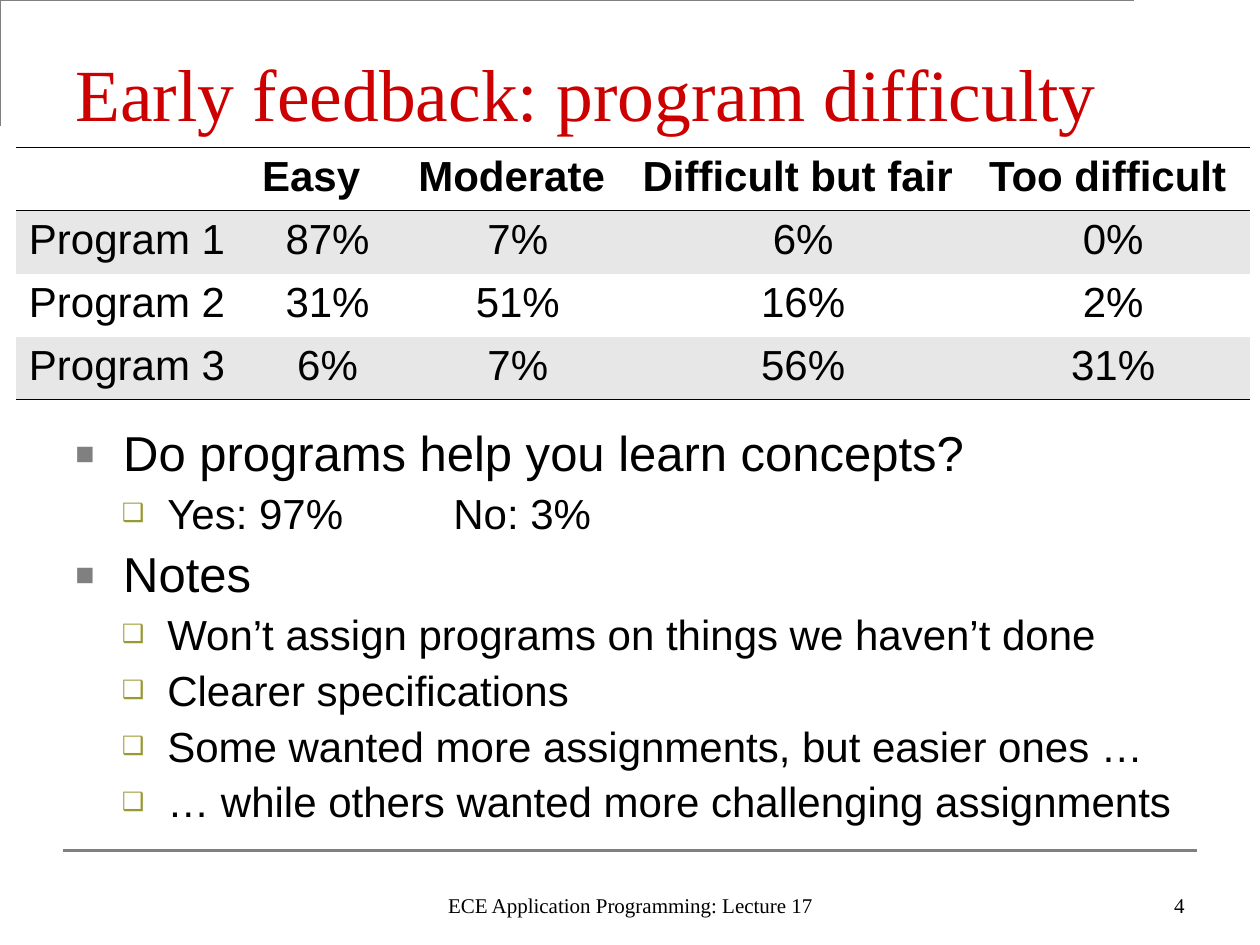
from dataclasses import dataclass

import pptx
import pptx.dml.color
import pptx.enum.shapes
import pptx.enum.text
import pptx.oxml
import pptx.oxml.ns
import pptx.util
from pptx.util import Inches

SERIF, SANS = "Times New Roman", "Arial"
BLACK, GRAY, RED, OLIVE = "000000", "808080", "CC0000", "999933"
WHITE, BAND = "FFFFFF", "E7E7E7"
ALIGN = pptx.enum.text.PP_ALIGN
ANCHOR = pptx.enum.text.MSO_ANCHOR


@dataclass(frozen=True)
class Label:
    text: str
    left: float
    top: float
    width: float
    height: float
    size: int
    color: str
    align: ALIGN
    bottom_inset: float = 0.05


@dataclass(frozen=True)
class Level:
    size: int
    margin: float
    hanging: float
    before: int
    mark: str
    mark_color: str
    mark_percent: int


TOPIC = Level(28, 0.38, 0.38, 7, "■", GRAY, 65)
POINT = Level(24, 0.73, 0.36, 6, "❑", OLIVE, 60)

LABELS = [
    Label("Early feedback: program difficulty", 0.5, 0.3, 9, 0.78, 42, RED, ALIGN.LEFT, 0),
    Label("ECE Application Programming: Lecture 17", 3.42, 6.83, 3.17, 0.5, 12, BLACK, ALIGN.CENTER),
    Label("4", 7.17, 6.83, 2.33, 0.5, 12, BLACK, ALIGN.RIGHT),
]
DIFFICULTY = [
    ["", "Easy", "Moderate", "Difficult but fair", "Too difficult"],
    ["Program 1", "87%", "7%", "6%", "0%"],
    ["Program 2", "31%", "51%", "16%", "2%"],
    ["Program 3", "6%", "7%", "56%", "31%"],
]
COLUMN_WIDTHS = [1.85, 1.24, 1.78, 2.75, 2.17]
ROW_HEIGHT = 0.5
FEEDBACK = [
    (TOPIC, "Do programs help you learn concepts?"),
    (POINT, "Yes: 97%\tNo: 3%"),
    (TOPIC, "Notes"),
    (POINT, "Won’t assign programs on things we haven’t done"),
    (POINT, "Clearer specifications"),
    (POINT, "Some wanted more assignments, but easier ones …"),
    (POINT, "… while others wanted more challenging assignments"),
]


def rgb(color: str) -> pptx.dml.color.RGBColor:
    return pptx.dml.color.RGBColor.from_string(color)


def append_xml(parent, tag: str, attributes: str = "", inner: str = "") -> None:
    namespace = pptx.oxml.ns.nsdecls("a")
    parent.append(pptx.oxml.parse_xml(f"<a:{tag} {namespace} {attributes}>{inner}</a:{tag}>"))


def format_runs(para, font: str, size: int, color: str, bold: bool = False) -> None:
    for span in para.runs:
        span.font.name = font
        span.font.size = pptx.util.Pt(size)
        span.font.bold = bold
        span.font.color.rgb = rgb(color)


def style_rule(line) -> None:
    line.color.rgb = rgb(GRAY)
    line.width = pptx.util.Pt(1.5)


def draw_rules(page) -> None:
    builder = page.shapes.build_freeform(0.42, 0.92, scale=Inches(1))
    builder.add_line_segments([(0.42, 0.25), (9.42, 0.25)], close=False)
    corner = builder.convert_to_shape()
    corner.shadow.inherit = False
    corner.fill.background()
    style_rule(corner.line)

    footer_rule = page.shapes.add_connector(
        pptx.enum.shapes.MSO_CONNECTOR.STRAIGHT,
        Inches(0.5), Inches(6.75), Inches(9.5), Inches(6.75))
    style_rule(footer_rule.line)
    append_xml(footer_rule._element.spPr, "effectLst")


def add_box(page, left: float, top: float, width: float, height: float):
    box = page.shapes.add_textbox(Inches(left), Inches(top), Inches(width), Inches(height))
    box.text_frame.word_wrap = True
    return box.text_frame


def draw_label(page, label: Label) -> None:
    frame = add_box(page, label.left, label.top, label.width, label.height)
    frame.vertical_anchor = ANCHOR.BOTTOM
    frame.margin_bottom = Inches(label.bottom_inset)
    frame.text = label.text
    para = frame.paragraphs[0]
    para.alignment = label.align
    format_runs(para, SERIF, label.size, label.color)


def set_borders(cell, top: bool, bottom: bool) -> None:
    properties = cell._tc.get_or_add_tcPr()
    solid = f'<a:solidFill><a:srgbClr val="{BLACK}"/></a:solidFill>'
    for tag, visible in (("lnL", False), ("lnR", False), ("lnT", top), ("lnB", bottom)):
        append_xml(properties, tag, f'w="{pptx.util.Pt(0.96)}"', solid if visible else "<a:noFill/>")


def draw_table(page) -> None:
    table = page.shapes.add_table(
        len(DIFFICULTY), len(COLUMN_WIDTHS), Inches(0.13), Inches(1.17),
        Inches(sum(COLUMN_WIDTHS)), Inches(ROW_HEIGHT * len(DIFFICULTY))).table
    table.first_row = table.horz_banding = False
    for column, width in zip(table.columns, COLUMN_WIDTHS):
        column.width = Inches(width)
    for row, values in enumerate(DIFFICULTY):
        table.rows[row].height = Inches(ROW_HEIGHT)
        for column, value in enumerate(values):
            cell = table.cell(row, column)
            set_borders(cell, top=row <= 1, bottom=row in (0, len(DIFFICULTY) - 1))
            cell.fill.solid()
            cell.fill.fore_color.rgb = rgb(BAND if row % 2 else WHITE)
            cell.text_frame.text = value
            para = cell.text_frame.paragraphs[0]
            para.alignment = ALIGN.CENTER if row and column else ALIGN.LEFT
            format_runs(para, SANS, 24, BLACK, bold=row == 0)


def set_bullet(para, level: Level) -> None:
    properties = para._p.get_or_add_pPr()
    properties.set("marL", str(Inches(level.margin)))
    properties.set("indent", str(-Inches(level.hanging)))
    append_xml(properties, "buClr", inner=f'<a:srgbClr val="{level.mark_color}"/>')
    append_xml(properties, "buSzPct", f'val="{level.mark_percent * 1000}"')
    append_xml(properties, "buFont", f'typeface="{SANS}"')
    append_xml(properties, "buChar", f'char="{level.mark}"')


def draw_feedback(page) -> None:
    frame = add_box(page, 0.5, 3.33, 9, 3.5)
    frame.margin_top = Inches(0.08)
    frame.text = "\n".join(text for _, text in FEEDBACK)
    for index, (para, (level, text)) in enumerate(zip(frame.paragraphs, FEEDBACK)):
        para.level = 1 if level is POINT else 0
        para.line_spacing = 0.9
        para.space_before = pptx.util.Pt(level.before if index else 0)
        set_bullet(para, level)
        if "\t" in text:
            append_xml(para._p.pPr, "tabLst", inner=f'<a:tab pos="{Inches(3)}" algn="l"/>')
        format_runs(para, SANS, level.size, BLACK)


def main() -> None:
    deck = pptx.Presentation()
    deck.slide_width, deck.slide_height = Inches(10), Inches(7.5)
    page = deck.slides.add_slide(deck.slide_layouts[6])

    # Frame lines
    draw_rules(page)
    # Title, footer and page number
    for label in LABELS:
        draw_label(page, label)
    # Survey results and comments
    draw_table(page)
    draw_feedback(page)

    deck.save("out.pptx")


if __name__ == "__main__":
    main()
